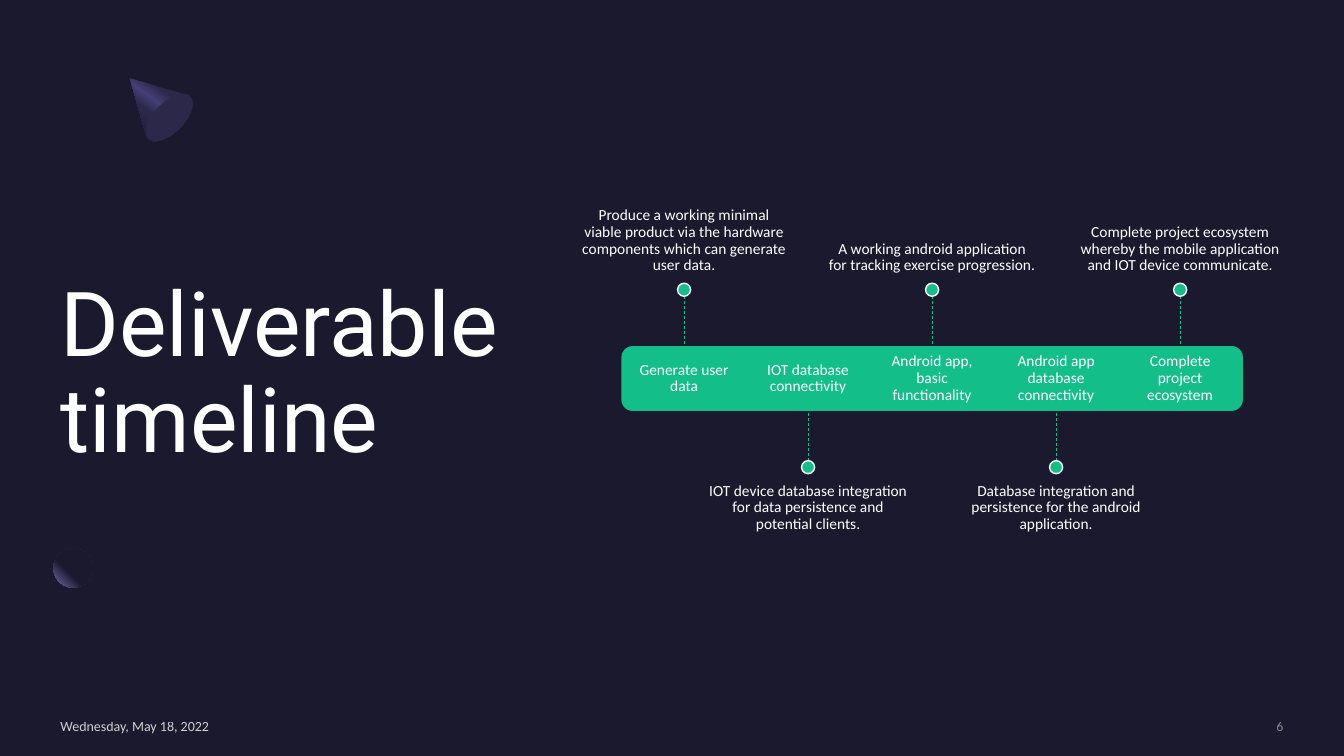
from dataclasses import dataclass

from pptx import Presentation
from pptx.dml.color import RGBColor
from pptx.enum.dml import MSO_LINE
from pptx.enum.shapes import MSO_CONNECTOR, MSO_SHAPE
from pptx.enum.text import MSO_ANCHOR, MSO_AUTO_SIZE, PP_ALIGN
from pptx.oxml import parse_xml
from pptx.oxml.ns import nsdecls, qn
from pptx.util import Inches, Pt
from lxml import etree

STRAIGHT = MSO_CONNECTOR.STRAIGHT
RECTANGLE, OVAL = MSO_SHAPE.RECTANGLE, MSO_SHAPE.OVAL
END_CAP = MSO_SHAPE.ROUND_2_SAME_RECTANGLE
TOP, MIDDLE, BOTTOM = MSO_ANCHOR.TOP, MSO_ANCHOR.MIDDLE, MSO_ANCHOR.BOTTOM
LEFT, CENTER, RIGHT = PP_ALIGN.LEFT, PP_ALIGN.CENTER, PP_ALIGN.RIGHT

NIGHT = RGBColor(0x1B, 0x19, 0x2E)
INDIGO = RGBColor(0x2C, 0x28, 0x4A)
VIOLET = RGBColor(0x45, 0x40, 0x75)
LILAC = RGBColor(0x77, 0x71, 0xB2)
GREEN = RGBColor(0x13, 0xBE, 0x89)
WHITE = RGBColor(0xFF, 0xFF, 0xFF)
GRAY = RGBColor(0xA6, 0xA6, 0xA6)

# Timeline grid, in inches
BAR_LEFT, BAR_TOP, BAR_HEIGHT = 6.17, 3.44, 0.63
COLUMN = 1.23
STEM, DOT = 0.5, 0.13
NOTE_WIDTH, NOTE_HEIGHT = 2.05, 2.2
LABEL_WIDTH, INSET = 1.2, 0.09
MARGIN, FOOTER_TOP, FOOTER_HEIGHT = 0.6, 7.12, 0.17

Point = tuple[float, float]


@dataclass(frozen=True)
class Milestone:
    label: str
    note: str


MILESTONES = [
    Milestone("Generate user data",
              "Produce a working minimal viable product via the hardware "
              "components which can generate user data."),
    Milestone("IOT database connectivity",
              "IOT device database integration for data persistence and potential clients."),
    Milestone("Android app, basic functionality",
              "A working android application for tracking exercise progression."),
    Milestone("Android app database connectivity",
              "Database integration and persistence for the android application."),
    Milestone("Complete project ecosystem",
              "Complete project ecosystem whereby the mobile application "
              "and IOT device communicate."),
]

# Each segment is one end point, or two control points and an end point
CONE = [
    [(1.29, 0.78)], [(1.85, 0.94)], [(1.86, 0.94)],
    [(1.87, 0.95), (1.88, 0.95), (1.88, 0.96)],
    [(1.94, 1.02), (1.89, 1.16), (1.78, 1.27)],
    [(1.66, 1.39), (1.52, 1.43), (1.47, 1.38)],
    [(1.46, 1.37), (1.45, 1.36), (1.45, 1.35)],
]
RING = [
    [(4.8, 6.21)],
    [(5.11, 6.19), (5.43, 6.32), (5.68, 6.57)], [(5.33, 6.93)],
    [(5.1, 6.7), (4.76, 6.68), (4.56, 6.88)],
    [(4.42, 7.03), (4.39, 7.26), (4.48, 7.46)],
    [(4.5, 7.5)], [(3.94, 7.5)], [(3.92, 7.43)],
    [(3.84, 7.08), (3.91, 6.72), (4.16, 6.48)],
    [(4.33, 6.3), (4.56, 6.21), (4.8, 6.21)],
]


def set_alpha(holder, percent: int) -> None:
    color = holder.find(".//" + qn("a:srgbClr"))
    etree.SubElement(color, qn("a:alpha")).set("val", str(percent * 1000))


def paint(shape, fill: RGBColor, line: RGBColor | None = None) -> None:
    shape.shadow.inherit = False
    shape.fill.solid()
    shape.fill.fore_color.rgb = fill
    if line is None:
        shape.line.fill.background()
    else:
        shape.line.color.rgb = line
        shape.line.width = Pt(1)


def set_gradient(shape, stops: list[tuple[int, RGBColor]], direction: str) -> None:
    """Replace a solid fill; direction is the a:lin or a:path element."""
    marks = "".join(f'<a:gs pos="{share * 1000}"><a:srgbClr val="{color}"/></a:gs>'
                    for share, color in stops)
    gradient = parse_xml(f'<a:gradFill {nsdecls("a")} rotWithShape="1">'
                         f"<a:gsLst>{marks}</a:gsLst>{direction}</a:gradFill>")
    properties = shape.element.spPr
    properties.replace(properties.find(qn("a:solidFill")), gradient)


def add_shape(page, kind, left: float, top: float, width: float, height: float,
              fill: RGBColor, line: RGBColor | None = None):
    shape = page.shapes.add_shape(kind, Inches(left), Inches(top),
                                  Inches(width), Inches(height))
    paint(shape, fill, line)
    return shape


def add_outline(page, segments: list[list[Point]], fill: RGBColor, steps: int = 12):
    """Draw a closed outline, sampling its cubic curves."""
    points = [segments[0][0]]
    for segment in segments[1:]:
        if len(segment) == 1:
            points += segment
            continue
        curve = [points[-1], *segment]
        for step in range(1, steps + 1):
            t = step / steps
            weights = ((1 - t) ** 3, 3 * t * (1 - t) ** 2, 3 * t * t * (1 - t), t ** 3)
            points.append(tuple(sum(w * p[axis] for w, p in zip(weights, curve))
                                for axis in (0, 1)))
    corners = [(Inches(x), Inches(y)) for x, y in points]
    builder = page.shapes.build_freeform(*corners[0])
    builder.add_line_segments(corners[1:], close=True)
    shape = builder.convert_to_shape()
    paint(shape, fill)
    return shape


def write(box, text: str, size: float, font: str, color: RGBColor, anchor, align,
          insets=(0, 0, 0, 0), spacing: float = 1.0):
    frame = box.text_frame
    frame.word_wrap = True
    frame.auto_size = MSO_AUTO_SIZE.NONE
    frame.vertical_anchor = anchor
    (frame.margin_left, frame.margin_top,
     frame.margin_right, frame.margin_bottom) = map(Inches, insets)
    para = frame.paragraphs[0]
    para.alignment = align
    para.line_spacing = spacing
    span = para.add_run()
    span.text = text
    span.font.size = Pt(size)
    span.font.name = font
    span.font.color.rgb = color
    return span


def add_text(page, left: float, top: float, width: float, height: float, *style, **options):
    box = page.shapes.add_textbox(Inches(left), Inches(top), Inches(width), Inches(height))
    return write(box, *style, **options)


def add_footer(page, left: float, width: float, text: str, color: RGBColor, align) -> None:
    span = add_text(page, left, FOOTER_TOP, width, FOOTER_HEIGHT,
                    text, 10, "Calibri", color, MIDDLE, align)
    set_alpha(span.font._element, 80)


def add_segment(page, column: int):
    """Draw one bar segment; the first and last are turned so the round side faces out."""
    left = BAR_LEFT + column * COLUMN
    turn = {0: 270, len(MILESTONES) - 1: 90}.get(column)
    if turn is None:
        return add_shape(page, RECTANGLE, left, BAR_TOP, COLUMN, BAR_HEIGHT, GREEN, GREEN)
    shift = (COLUMN - BAR_HEIGHT) / 2
    cap = add_shape(page, END_CAP, left + shift, BAR_TOP - shift,
                    BAR_HEIGHT, COLUMN, GREEN, GREEN)
    cap.rotation = turn
    return cap


def add_milestone(page, column: int, milestone: Milestone) -> None:
    above = column % 2 == 0
    center = BAR_LEFT + (column + 0.5) * COLUMN
    edge = BAR_TOP if above else BAR_TOP + BAR_HEIGHT
    tip = edge - STEM if above else edge + STEM
    dot_top = tip - DOT if above else tip
    note_top = dot_top - NOTE_HEIGHT if above else dot_top + DOT
    note_insets = (0, 0, 0, INSET) if above else (0, INSET, 0, 0)

    segment = add_segment(page, column)
    add_text(page, center - LABEL_WIDTH / 2, BAR_TOP, LABEL_WIDTH, BAR_HEIGHT,
             milestone.label, 11, "Calibri", WHITE, MIDDLE, CENTER,
             insets=(INSET,) * 4, spacing=0.9)
    add_text(page, center - NOTE_WIDTH / 2, note_top, NOTE_WIDTH, NOTE_HEIGHT,
             milestone.note, 11, "Calibri", WHITE, BOTTOM if above else TOP, CENTER,
             insets=note_insets, spacing=0.9)
    stem = page.shapes.add_connector(STRAIGHT, Inches(center), Inches(tip),
                                     Inches(center), Inches(edge))
    if not segment.rotation:
        stem.end_connect(segment, 0 if above else 2)
    stem.line.color.rgb = GREEN
    stem.line.width = Pt(0.5)
    stem.line.dash_style = MSO_LINE.DASH
    etree.SubElement(stem.element.spPr, qn("a:effectLst"))
    add_shape(page, OVAL, center - DOT / 2, dot_top, DOT, DOT, GREEN, WHITE)


def add_decorations(page) -> None:
    cone = add_outline(page, CONE, INDIGO)
    set_gradient(cone, [(30, INDIGO), (45, VIOLET), (60, INDIGO), (100, NIGHT)],
                 '<a:lin ang="7500000" scaled="0"/>')
    add_shape(page, OVAL, 1.53, 0.87, 0.3, 0.59, INDIGO).rotation = 45
    ball = add_shape(page, OVAL, 0.53, 5.44, 0.39, 0.39, NIGHT)
    set_gradient(ball, [(60, NIGHT), (100, LILAC)],
                 '<a:path path="circle"><a:fillToRect l="100000" b="100000"/></a:path>')
    ring = add_outline(page, RING, LILAC)
    set_alpha(ring.element.spPr, 40)
    effects = ring.element.spPr.find(qn("a:effectLst"))
    etree.SubElement(effects, qn("a:softEdge")).set("rad", str(Pt(20)))


def main() -> None:
    deck = Presentation()
    deck.slide_width, deck.slide_height = Inches(13.33), Inches(7.5)
    page = deck.slides.add_slide(deck.slide_layouts[5])
    page.background.fill.solid()
    page.background.fill.fore_color.rgb = NIGHT
    title = page.shapes.title
    title.left, title.top, title.width, title.height = map(Inches, (MARGIN, 1.66, 4.96, 4.13))
    write(title, "Deliverable timeline", 64, "Roboto", WHITE, MIDDLE, LEFT, spacing=0.9)
    add_decorations(page)
    add_footer(page, MARGIN, 2.88, "Wednesday, May 18, 2022", WHITE, LEFT)
    add_footer(page, 10.88, 1.85, "6", GRAY, RIGHT)
    for column, milestone in enumerate(MILESTONES):
        add_milestone(page, column, milestone)
    deck.save("out.pptx")


if __name__ == "__main__":
    main()
